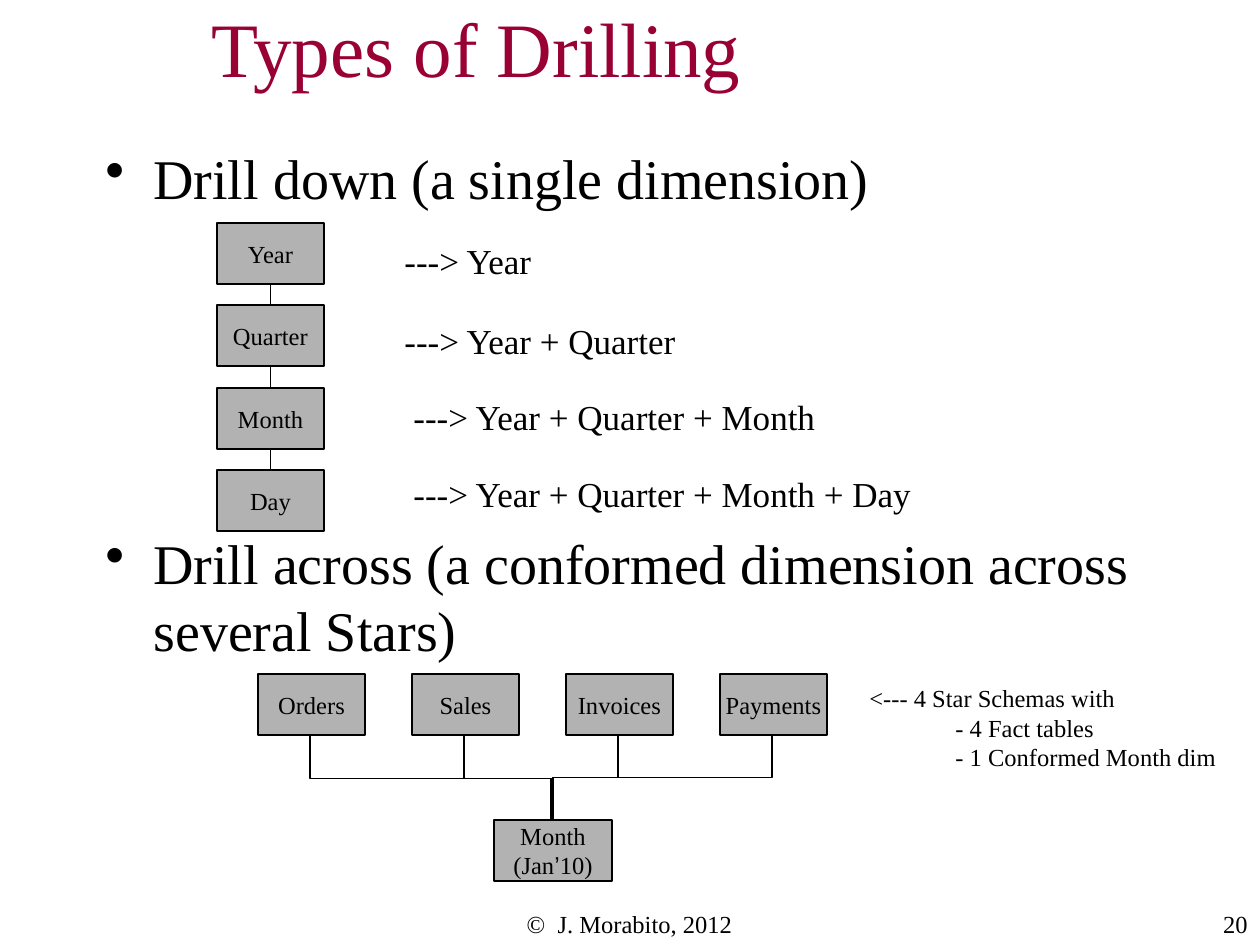
import pptx
import pptx.util
import pptx.dml.color
import pptx.enum.shapes
import pptx.enum.text
import pptx.oxml.ns
import lxml.etree

COLORS = {"ink": "000000", "title": "990033", "box": "B2B2B2"}
FACE = "Times New Roman"
ALIGN = pptx.enum.text.PP_ALIGN
ANCHOR = pptx.enum.text.MSO_ANCHOR
LINK = pptx.enum.shapes.MSO_CONNECTOR
WIDE, HIGH = 107, 61


def px(n):
    """Turn pixels into EMU."""
    return round(n * 914400 / 126)


def rgb(name):
    """Look up a colour."""
    return pptx.dml.color.RGBColor.from_string(COLORS[name])


def style(para, size, color="ink", align=ALIGN.LEFT):
    """Set the look of a paragraph."""
    para.alignment = align
    para.font.size = pptx.util.Pt(size)
    para.font.name = FACE
    para.font.color.rgb = rgb(color)


def indent(para, left, first=0):
    """Set the left margin and first-line indent."""
    props = para._p.get_or_add_pPr()
    props.set("marL", str(px(left)))
    props.set("indent", str(px(first)))


def bullet(para):
    """Give a paragraph a hanging round bullet."""
    indent(para, 48, -48)
    tag = pptx.oxml.ns.qn("a:buChar")
    lxml.etree.SubElement(para._p.get_or_add_pPr(), tag).set("char", "•")


def fill(frame, lines, size, align=ALIGN.LEFT):
    """Write lines of one style and return their paragraphs."""
    frame.text = "\n".join(lines)
    for para in frame.paragraphs:
        style(para, size, align=align)
    return frame.paragraphs


def label(slide, x, y, w, h, lines, size, align=ALIGN.LEFT, wrap=True):
    """Add a text box and return its paragraphs."""
    frame = slide.shapes.add_textbox(px(x), px(y), px(w), px(h)).text_frame
    frame.word_wrap = wrap
    return fill(frame, lines, size, align)


def box(slide, x, y, lines, w=WIDE):
    """Add a grey box with centred text."""
    kind = pptx.enum.shapes.MSO_SHAPE.RECTANGLE
    shape = slide.shapes.add_shape(kind, px(x), px(y), px(w), px(HIGH))
    shape.shadow.inherit = False
    shape.fill.solid()
    shape.fill.fore_color.rgb = rgb("box")
    shape.line.color.rgb = rgb("ink")
    shape.line.width = pptx.util.Pt(0.75)
    frame = shape.text_frame
    frame.word_wrap = False
    frame.vertical_anchor = ANCHOR.MIDDLE
    fill(frame, lines, 14, ALIGN.CENTER)
    return shape


def wire(slide, kind, x1, y1, x2, y2):
    """Add a thin black connector."""
    line = slide.shapes.add_connector(kind, px(x1), px(y1), px(x2), px(y2))
    line.line.color.rgb = rgb("ink")
    line.line.width = pptx.util.Pt(0.75)
    props = line._element.spPr
    lxml.etree.SubElement(props, pptx.oxml.ns.qn("a:effectLst"))
    return line


def elbow(slide, x1, y1, x2, y2):
    """Add an elbow that leaves and arrives vertically."""
    midx, midy = (x1 + x2) / 2, (y1 + y2) / 2
    right = x2 > x1
    run, rise = (y2 - y1) / 2, abs(x2 - x1) / 2
    if right:
        run = -run
    line = wire(slide, LINK.ELBOW, midx - run, midy - rise, midx + run, midy + rise)
    turn = 270 if right else 90
    line._element.spPr.find(pptx.oxml.ns.qn("a:xfrm")).set("rot", str(turn * 60000))


def head(slide):
    """Place and format the title."""
    title = slide.shapes.title
    title.left, title.top, title.width, title.height = map(px, (199, 10, 1061, 73))
    frame = title.text_frame
    frame.text = "Types of Drilling"
    frame.word_wrap = True
    frame.vertical_anchor = ANCHOR.MIDDLE
    style(frame.paragraphs[0], 44, "title")


def tree(slide):
    """Draw the chain of levels for drilling down."""
    last = None
    for i, name in enumerate(("Year", "Quarter", "Month", "Day")):
        node = box(slide, 217, 223 + 165 * i // 2, [name])
        if last:
            line = wire(slide, LINK.STRAIGHT, 0, 0, 0, 0)
            line.begin_connect(last, 2)
            line.end_connect(node, 0)
        last = node


def stars(slide):
    """Draw the fact tables that share one month."""
    month = box(slide, 494, 820, ["Month", "(Jan"], 118)
    para = month.text_frame.paragraphs[1]
    for text, face in (("’", "Arial"), ("10)", FACE)):
        run = para.add_run()
        run.text = text
        run.font.name = face
    for i, name in enumerate(("Orders", "Sales", "Invoices", "Payments")):
        box(slide, 258 + 154 * i, 674, [name])
        down, end = (736, 551) if i < 2 else (735, 553)
        elbow(slide, 310 + 154 * i, down, end, down + 85)


def body(slide):
    """Write the two points and the lines of the drill path."""
    rows = (
        ("Drill down (a single dimension)", 32, 0, 0),
        ("---> Year", 20, 299, 16.5),
        ("---> Year + Quarter", 20, 299, 22),
        ("---> Year + Quarter + Month", 20, 308, 19.5),
        ("---> Year + Quarter + Month + Day", 20, 308, 19.5),
        ("Drill across (a conformed dimension across several Stars)", 32, 0, 8),
    )
    texts = [row[0] for row in rows]
    paras = label(slide, 93, 137, 1071, 735, texts, 20)
    for para, (_, size, left, gap) in zip(paras, rows):
        if left:
            indent(para, left)
        else:
            bullet(para)
        para.space_before = pptx.util.Pt(gap)
        para.font.size = pptx.util.Pt(size)


def note(slide):
    """Write the remark beside the fact tables."""
    lines = ["<--- 4 Star Schemas with", "- 4 Fact tables", "- 1 Conformed Month dim"]
    paras = label(slide, 857, 677, 372, 101, lines, 14, wrap=False)
    for para in paras[1:]:
        indent(para, 86)


def main():
    """Build and save the slide."""
    deck = pptx.Presentation()
    deck.slide_width, deck.slide_height = px(1260), px(945)
    slide = deck.slides.add_slide(deck.slide_layouts[5])
    head(slide)
    label(slide, 430, 903, 399, 32, ["©  J. Morabito, 2012"], 14, ALIGN.CENTER)
    label(slide, 1081, 903, 179, 42, ["20"], 14, ALIGN.RIGHT)
    tree(slide)
    stars(slide)
    body(slide)
    note(slide)
    deck.save("out.pptx")


if __name__ == "__main__":
    main()
